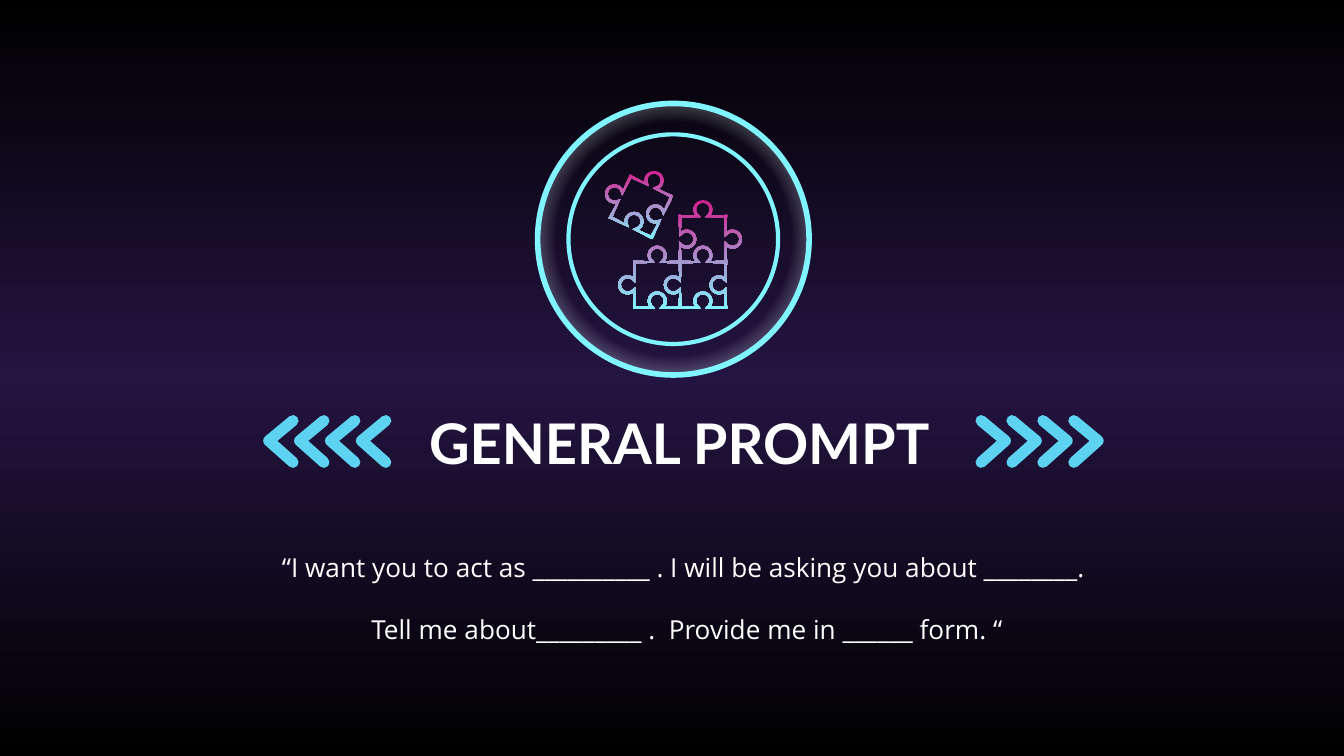
import math
from dataclasses import dataclass

from lxml import etree
from pptx import Presentation
from pptx.dml.color import RGBColor
from pptx.enum.shapes import MSO_SHAPE
from pptx.enum.text import MSO_ANCHOR, MSO_AUTO_SIZE, PP_ALIGN
from pptx.oxml.ns import qn
from pptx.util import Inches, Pt

BLACK = RGBColor(0x00, 0x00, 0x00)
WHITE = RGBColor(0xFF, 0xFF, 0xFF)
PURPLE = RGBColor(0x24, 0x14, 0x41)
MAGENTA = RGBColor(0xD1, 0x20, 0x8D)
CYAN = RGBColor(0x81, 0xF5, 0xFF)
SKY = RGBColor(0x5E, 0xD2, 0xF1)

OVAL = MSO_SHAPE.OVAL
CENTER = PP_ALIGN.CENTER
MIDDLE = MSO_ANCHOR.MIDDLE
NO_AUTOFIT = MSO_AUTO_SIZE.NONE

SLIDE_WIDTH = 10
SLIDE_HEIGHT = SLIDE_WIDTH * 9 / 16

CELL = 0.34
KNOB_RADIUS = 0.06
KNOB_RISE = 0.05
KNOB_STEPS = 24
HALF_STROKE = 0.01
OUT, IN = 1, -1

Point = tuple[float, float]


@dataclass(frozen=True)
class Stop:
    percent: int
    color: RGBColor
    opacity: int = 100


@dataclass(frozen=True)
class Ring:
    left: float
    top: float
    diameter: float
    line_width: float
    stops: tuple[Stop, ...] = ()


@dataclass(frozen=True)
class ChevronRow:
    left: float
    points_right: bool


RINGS = (
    Ring(4.23, 1, 1.56, 2.25),
    Ring(4, 0.77, 2.02, 3, (Stop(0, WHITE, 0), Stop(61, WHITE, 0), Stop(100, SKY))),
)
CHEVRON_ROWS = (ChevronRow(7.3, True), ChevronRow(2, False))
CHEVRONS_PER_ROW = 4
CHEVRON_PITCH = 0.23


def set_gradient(fill, owner, stops: tuple[Stop, ...], radial: bool = False) -> None:
    """Give fill, held by the XML element owner, a downward or radial gradient."""
    fill.gradient()
    gradient = owner.find(qn("a:gradFill"))
    for child in list(gradient):
        gradient.remove(child)
    stop_list = etree.SubElement(gradient, qn("a:gsLst"))
    for stop in stops:
        mark = etree.SubElement(stop_list, qn("a:gs"), pos=str(stop.percent * 1000))
        color = etree.SubElement(mark, qn("a:srgbClr"), val=str(stop.color))
        if stop.opacity < 100:
            etree.SubElement(color, qn("a:alpha"), val=str(stop.opacity * 1000))
    if radial:
        circle = etree.SubElement(gradient, qn("a:path"), path="circle")
        sides = dict.fromkeys("ltrb", "50000")
        etree.SubElement(circle, qn("a:fillToRect"), **sides)
    else:
        etree.SubElement(gradient, qn("a:lin"), ang="5400000", scaled="0")


def write_text(placeholder, lines: tuple[str, ...], *, box: tuple[float, ...], font: str,
               size: float, bold: bool = False, gap: float = 0) -> None:
    placeholder.left, placeholder.top, placeholder.width, placeholder.height = map(Inches, box)
    frame = placeholder.text_frame
    frame.word_wrap = True
    frame.auto_size = NO_AUTOFIT
    frame.vertical_anchor = MIDDLE
    frame.margin_left = frame.margin_right = Inches(0.1)
    frame.margin_top = frame.margin_bottom = Inches(0.1)
    for index, line in enumerate(lines):
        paragraph = frame.paragraphs[0] if index == 0 else frame.add_paragraph()
        paragraph.alignment = CENTER
        paragraph.line_spacing = 1.0
        paragraph.space_before = Pt(gap if index else 0)
        run = paragraph.add_run()
        run.text = line
        run.font.name = font
        run.font.size = Pt(size)
        run.font.bold = bold
        run.font.color.rgb = WHITE


def draw_outline(slide, contours: list[list[Point]], closed: bool):
    scaled = [[(Inches(x), Inches(y)) for x, y in contour] for contour in contours]
    builder = slide.shapes.build_freeform(*scaled[0][0])
    for index, contour in enumerate(scaled):
        if index:
            builder.move_to(*contour[0])
        builder.add_line_segments(contour[1:], close=closed)
    shape = builder.convert_to_shape()
    shape.shadow.inherit = False
    return shape


def jigsaw_edges(corners: list[Point], knobs: tuple[int, ...]) -> list[Point]:
    """Outline clockwise through corners, with a knob OUT or IN on each side."""
    outline = []
    reach = math.atan2(KNOB_RISE, math.sqrt(KNOB_RADIUS**2 - KNOB_RISE**2))
    sweep = math.pi + 2 * reach
    for (x1, y1), (x2, y2), knob in zip(corners, corners[1:] + corners[:1], knobs):
        length = math.hypot(x2 - x1, y2 - y1)
        ux, uy = (x2 - x1) / length, (y2 - y1) / length
        nx, ny = uy * knob, -ux * knob
        outline.append((x1, y1))
        for step in range(KNOB_STEPS + 1):
            angle = math.pi + reach - sweep * step / KNOB_STEPS
            along = KNOB_RADIUS * math.cos(angle)
            away = KNOB_RISE + KNOB_RADIUS * math.sin(angle)
            outline.append(((x1 + x2) / 2 + along * ux + away * nx,
                            (y1 + y2) / 2 + along * uy + away * ny))
    return outline


def offset(outline: list[Point], distance: float) -> list[Point]:
    """Move a clockwise outline outwards, or inwards if distance is negative."""
    normals = []
    for (x1, y1), (x2, y2) in zip(outline, outline[1:] + outline[:1]):
        length = math.hypot(x2 - x1, y2 - y1)
        normals.append(((y2 - y1) / length, (x1 - x2) / length))
    moved = []
    for (x, y), (ax, ay), (bx, by) in zip(outline, normals[-1:] + normals[:-1], normals):
        factor = distance / max(1 + ax * bx + ay * by, 0.4)
        moved.append((x + factor * (ax + bx), y + factor * (ay + by)))
    return moved


def square(center_x: float, center_y: float, degrees: float = 0) -> list[Point]:
    radius = CELL / math.sqrt(2)
    angles = [math.radians(degrees + 225 + 90 * side) for side in range(4)]
    return [(center_x + radius * math.cos(a), center_y + radius * math.sin(a)) for a in angles]


def draw_puzzle(slide, border: list[Point], pieces: list[list[Point]]) -> None:
    contours = [offset(border, HALF_STROKE)]
    contours += [offset(piece, -HALF_STROKE) for piece in pieces]
    puzzle = draw_outline(slide, contours, closed=True)
    set_gradient(puzzle.fill, puzzle._element.spPr, (Stop(0, MAGENTA), Stop(100, CYAN)))
    puzzle.line.fill.background()


def draw_ring(slide, ring: Ring) -> None:
    side = Inches(ring.diameter)
    circle = slide.shapes.add_shape(OVAL, Inches(ring.left), Inches(ring.top), side, side)
    circle.shadow.inherit = False
    if ring.stops:
        set_gradient(circle.fill, circle._element.spPr, ring.stops, radial=True)
    else:
        circle.fill.background()
    circle.line.color.rgb = CYAN
    circle.line.width = Pt(ring.line_width)


def draw_chevrons(slide, row: ChevronRow) -> None:
    for index in range(CHEVRONS_PER_ROW):
        left = row.left + index * CHEVRON_PITCH
        tail, tip = (left, left + 0.18) if row.points_right else (left + 0.18, left)
        chevron = draw_outline(slide, [[(tail, 3.44), (tip, 3.28), (tail, 3.13)]], closed=False)
        chevron.fill.background()
        chevron.line.color.rgb = SKY
        chevron.line.width = Pt(6)
        stroke = chevron._element.spPr.find(qn("a:ln"))
        stroke.set("cap", "rnd")
        etree.SubElement(stroke, qn("a:round"))


def main() -> None:
    deck = Presentation()
    deck.slide_width, deck.slide_height = Inches(SLIDE_WIDTH), Inches(SLIDE_HEIGHT)
    slide = deck.slides.add_slide(deck.slide_layouts[0])
    set_gradient(slide.background.fill, slide._element.cSld.bg.bgPr,
                 (Stop(0, BLACK), Stop(50, PURPLE), Stop(100, BLACK)))

    write_text(slide.shapes.title, ("GENERAL PROMPT",), box=(3.04, 3, 4.03, 0.58),
               font="Lato", size=30, bold=True)
    prompt = ("“I want you to act as __________ . I will be asking you about ________. ",
              "Tell me about_________ .  Provide me in ______ form. “")
    write_text(slide.placeholders[1], prompt, box=(1.44, 3.91, 7.35, 1.08),
               font="Open Sans", size=14, gap=16.5)

    x0, x1, x2 = (4.72 + CELL * column for column in range(3))
    y0, y1, y2 = (1.61 + CELL * row for row in range(3))
    stack = [(x1, y0), (x2, y0), (x2, y1), (x2, y2), (x1, y2), (x0, y2), (x0, y1), (x1, y1)]
    half = CELL / 2
    draw_puzzle(slide, jigsaw_edges(stack, (OUT, OUT, IN, IN, IN, OUT, OUT, IN)), [
        jigsaw_edges(square(x1 + half, y0 + half), (OUT, OUT, IN, IN)),
        jigsaw_edges(square(x0 + half, y1 + half), (OUT, IN, IN, OUT)),
        jigsaw_edges(square(x1 + half, y1 + half), (OUT, IN, IN, OUT)),
    ])
    loose_piece = jigsaw_edges(square(4.77, 1.54, degrees=26), (OUT, IN, IN, OUT))
    draw_puzzle(slide, loose_piece, [loose_piece])

    for ring in RINGS:
        draw_ring(slide, ring)
    for row in CHEVRON_ROWS:
        draw_chevrons(slide, row)
    deck.save("out.pptx")


if __name__ == "__main__":
    main()
